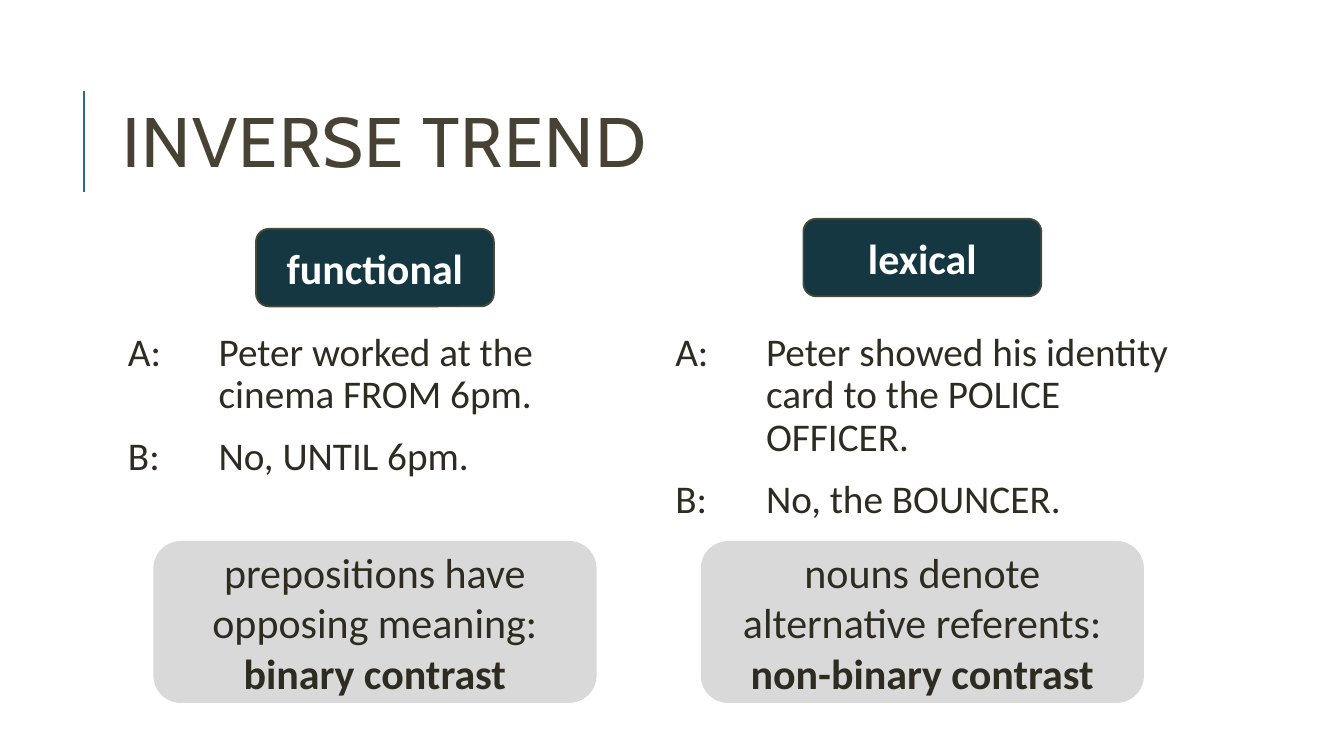
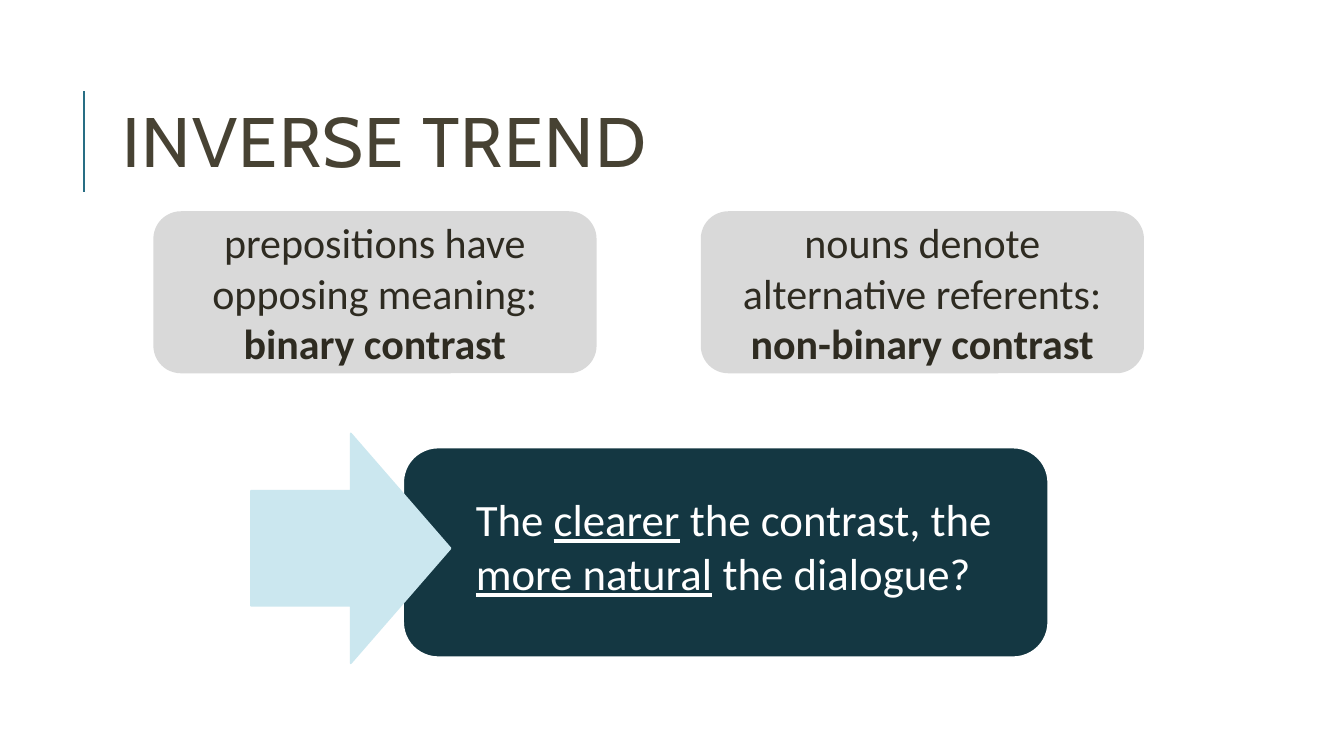
from pptx import Presentation
from pptx.dml.color import RGBColor
from pptx.enum.shapes import MSO_CONNECTOR, MSO_SHAPE
from pptx.enum.text import MSO_ANCHOR, PP_ALIGN
from pptx.oxml.ns import qn
from pptx.util import Pt
from lxml.etree import SubElement

TITLE = "INVERSE TREND"
COLUMNS = [
    {
        "label": "functional",
        "dialogue": [("A:", ["Peter worked at the", "cinema FROM 6pm."]),
                     ("B:", ["No, UNTIL 6pm."])],
        "note": [[("prepositions have opposing meaning:", {})],
                 [("binary contrast", {"bold": True})]],
    },
    {
        "label": "lexical",
        "dialogue": [("A:", ["Peter showed his identity", "card to the POLICE", "OFFICER."]),
                     ("B:", ["No, the BOUNCER."])],
        "note": [[("nouns denote alternative referents:", {})],
                 [("non-binary contrast", {"bold": True})]],
    },
]
CONCLUSION = [[("The ", {}), ("clearer", {"underline": True}), (" the contrast, the ", {}),
               ("more natural", {"underline": True}), (" the dialogue?", {})]]

HEADING_FONT, BODY_FONT = "Cabin", "Calibri"
TITLE_INK, INK, WHITE = "474233", "2E2B21", "FFFFFF"
ACCENT, NAVY, OLIVE, GRAY, PALE_BLUE = "286E84", "143742", "4A4836", "D9D9D9", "CBE7EF"

MARGIN = 80.64
COLUMN_STEP = 391
COLUMN_CENTER = 267.84
LABEL_SIZE = (170, 55.44)
LABEL_TOPS = (163.44, 156.24)
NOTE_SIZE = (315.36, 114.48)
TURN_START, TURN_TEXT = 7.2, 72


def color(hex_code):
    return RGBColor.from_string(hex_code)


def write(shape, paragraphs, size, ink, font=BODY_FONT, align=PP_ALIGN.LEFT,
          anchor=MSO_ANCHOR.MIDDLE, inset=None):
    """Fill a shape with paragraphs, each a list of (text, font attributes) runs."""
    frame = shape.text_frame
    frame.word_wrap = True
    frame.vertical_anchor = anchor
    if inset is not None:
        frame.margin_left = frame.margin_right = Pt(inset)
        frame.margin_top = frame.margin_bottom = Pt(inset)
    for index, runs in enumerate(paragraphs):
        paragraph = frame.add_paragraph() if index else frame.paragraphs[0]
        paragraph.alignment = align
        for text, style in runs:
            run = paragraph.add_run()
            run.text = text
            run.font.name, run.font.size = font, Pt(size)
            run.font.color.rgb = color(ink)
            for attribute, value in style.items():
                setattr(run.font, attribute, value)
    return frame.paragraphs


def add_block(slide, kind, left, top, width, height, fill, line):
    block = slide.shapes.add_shape(kind, Pt(left), Pt(top), Pt(width), Pt(height))
    block.shadow.inherit = False
    block.fill.solid()
    block.fill.fore_color.rgb = color(fill)
    block.line.color.rgb = color(line)
    block.line.width = Pt(1.25)
    return block


def add_text_box(slide, left, top, width, height):
    return slide.shapes.add_textbox(Pt(left), Pt(top), Pt(width), Pt(height))


def add_titled_slide(deck):
    slide = deck.slides.add_slide(deck.slide_layouts[6])
    rule = slide.shapes.add_connector(MSO_CONNECTOR.STRAIGHT, Pt(60), Pt(136.8), Pt(60), Pt(64.8))
    rule.line.color.rgb = color(ACCENT)
    rule.line.width = Pt(1.5)
    SubElement(rule._element.spPr, qn("a:effectLst"))

    title = add_text_box(slide, MARGIN, 46.08, 765.36, 118.08)
    heading = write(title, [[(TITLE, {})]], 50, TITLE_INK, HEADING_FONT)[0]
    heading.line_spacing = 0.8
    heading.runs[0].font._element.set("spc", "100")
    return slide


def add_centered_block(slide, column, top, size, fill, line):
    left = COLUMN_CENTER + column * COLUMN_STEP - size[0] / 2
    return add_block(slide, MSO_SHAPE.ROUNDED_RECTANGLE, left, top, *size, fill, line)


def add_dialogue(slide, column, turns):
    """Add speaker turns whose words hang at a common indent."""
    box = add_text_box(slide, MARGIN + column * COLUMN_STEP, 234, 374.4, 181.44)
    paragraphs = [[(f"{speaker}\t{lines[0]}", {})] for speaker, lines in turns]
    written = write(box, paragraphs, 28, INK, anchor=MSO_ANCHOR.TOP, inset=3.6)
    for paragraph, (_, lines) in zip(written, turns):
        paragraph.line_spacing = 0.9
        paragraph.space_before, paragraph.space_after = Pt(12), Pt(2)
        properties = paragraph._p.get_or_add_pPr()
        properties.set("marL", str(Pt(TURN_TEXT)))
        properties.set("indent", str(Pt(TURN_START - TURN_TEXT)))
        for line in lines[1:]:
            paragraph.add_line_break()
            run = paragraph.add_run()
            run.text = line
            run.font.name, run.font.size = BODY_FONT, Pt(28)
            run.font.color.rgb = color(INK)


def add_notes(slide, top):
    for column, content in enumerate(COLUMNS):
        note = add_centered_block(slide, column, top, NOTE_SIZE, GRAY, GRAY)
        write(note, content["note"], 30, INK, align=PP_ALIGN.CENTER)


def build_comparison(deck):
    slide = add_titled_slide(deck)
    for column, content in enumerate(COLUMNS):
        add_dialogue(slide, column, content["dialogue"])
        label = add_centered_block(slide, column, LABEL_TOPS[column], LABEL_SIZE, NAVY, OLIVE)
        write(label, [[(content["label"], {"bold": True})]], 30, WHITE, align=PP_ALIGN.CENTER)
    add_notes(slide, 387)


def build_conclusion(deck):
    slide = add_titled_slide(deck)
    add_block(slide, MSO_SHAPE.ROUNDED_RECTANGLE, 288, 319.68, 460.8, 149.76, NAVY, WHITE)
    conclusion = add_text_box(slide, 331.2, 342.72, 388.08, 105.12)
    write(conclusion, CONCLUSION, 32, WHITE, anchor=MSO_ANCHOR.TOP, inset=8.64)
    add_block(slide, MSO_SHAPE.RIGHT_ARROW, 179.28, 309.6, 142.56, 164.16, PALE_BLUE, PALE_BLUE)
    add_notes(slide, 151.5)


def main():
    deck = Presentation()
    deck.slide_width, deck.slide_height = Pt(960), Pt(540)
    build_comparison(deck)
    build_conclusion(deck)
    deck.save("out.pptx")


if __name__ == "__main__":
    main()
